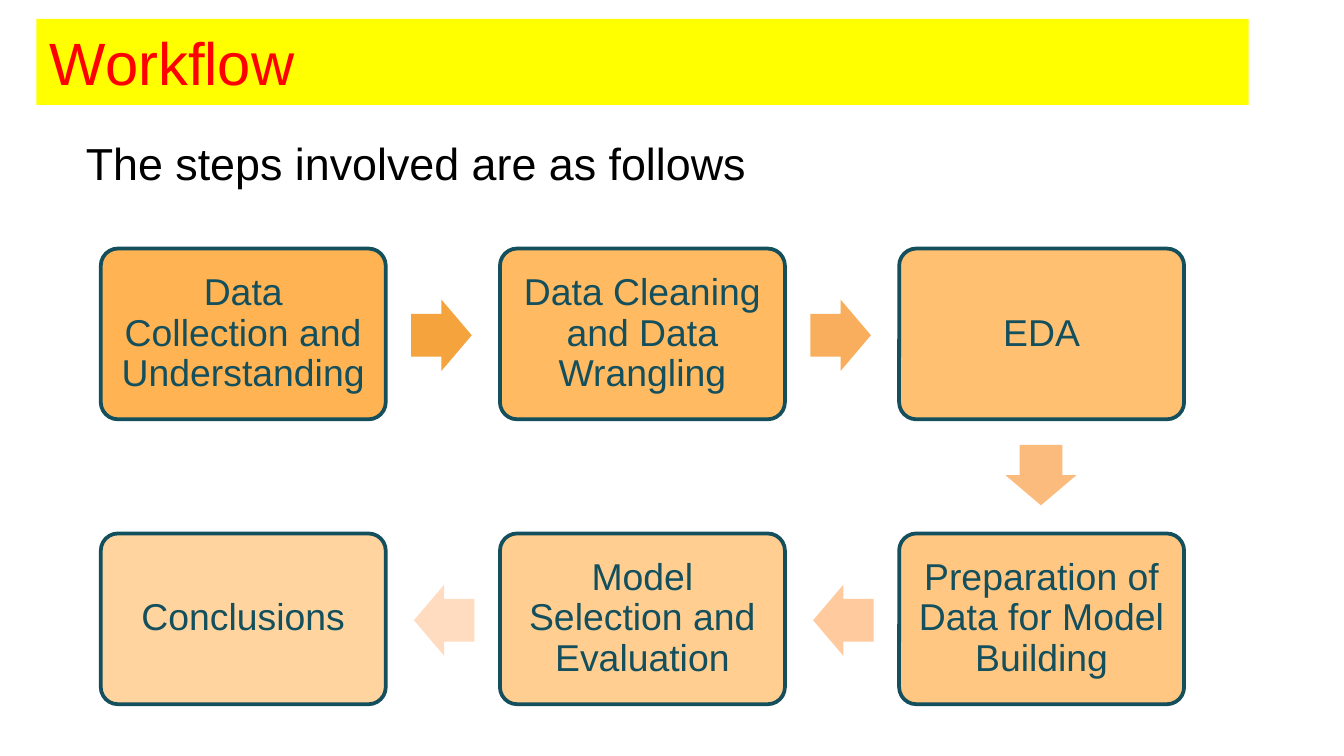
from typing import NamedTuple

from lxml.etree import SubElement
from pptx import Presentation
from pptx.dml.color import RGBColor
from pptx.enum.shapes import MSO_SHAPE as Shape
from pptx.enum.text import MSO_ANCHOR as Anchor, PP_ALIGN as Align
from pptx.oxml.ns import qn
from pptx.util import Inches, Pt

COLORS = {"band": "FFFF00", "title": "FF0000", "text": "000000",
          "box": "FFAB40", "ink": "134F5C"}
FONT = "Arial"
LEFT, TOP = 0.75, 1.85
STEP_X, STEP_Y = 2.97, 2.12
BOX_W, BOX_H = 2.12, 1.27
ARROW_W, ARROW_H = 0.45, 0.53


class Step(NamedTuple):
    text: str
    col: int
    row: int
    alpha: int  # percent


class Arrow(NamedTuple):
    x: float
    y: float
    turn: int
    color: str


STEPS = [
    Step("Data Collection and Understanding", 0, 0, 90),
    Step("Data Cleaning and Data Wrangling", 1, 0, 82),
    Step("EDA", 2, 0, 74),
    Step("Preparation of Data for Model Building", 2, 1, 66),
    Step("Model Selection and Evaluation", 1, 1, 58),
    Step("Conclusions", 0, 1, 50),
]
ARROWS = [
    Arrow(3.06, 2.23, 0, "F4A33D"),
    Arrow(6.03, 2.23, 0, "F8AE5C"),
    Arrow(7.52, 3.27, 90, "FBBB7D"),
    Arrow(6.05, 4.35, 180, "FECA9E"),
    Arrow(3.08, 4.35, 180, "FFDBC0"),
]


def paint(shape, color: str) -> None:
    shape.fill.solid()
    shape.fill.fore_color.rgb = RGBColor.from_string(color)


def place(shape, x: float, y: float, w: float, h: float) -> None:
    shape.left, shape.top = Inches(x), Inches(y)
    shape.width, shape.height = Inches(w), Inches(h)


def write(shape, text: str, size: int, color: str,
          align=Align.LEFT, anchor=Anchor.TOP):
    frame = shape.text_frame
    frame.word_wrap = True
    frame.vertical_anchor = anchor
    para = frame.paragraphs[0]
    para.text = text
    para.alignment = align
    para.font.name = FONT
    para.font.size = Pt(size)
    para.font.color.rgb = RGBColor.from_string(color)
    return para


def draw_step(shapes, step: Step) -> None:
    box = shapes.add_shape(
        Shape.ROUNDED_RECTANGLE,
        Inches(LEFT + step.col * STEP_X), Inches(TOP + step.row * STEP_Y),
        Inches(BOX_W), Inches(BOX_H))
    box.adjustments[0] = 0.1
    box.shadow.inherit = False
    paint(box, COLORS["box"])
    tone = box.fill._xPr.find(qn("a:solidFill"))[0]
    SubElement(tone, qn("a:alpha"), val=str(step.alpha * 1000))
    box.line.color.rgb = RGBColor.from_string(COLORS["ink"])
    box.line.width = Pt(2)
    frame = box.text_frame
    frame.margin_left = frame.margin_right = Inches(0.08)
    frame.margin_top = frame.margin_bottom = Inches(0.08)
    para = write(box, step.text, 20, COLORS["ink"], Align.CENTER, Anchor.MIDDLE)
    para.line_spacing = 0.9


def draw_arrow(shapes, arrow: Arrow) -> None:
    shape = shapes.add_shape(Shape.RIGHT_ARROW, Inches(arrow.x), Inches(arrow.y),
                             Inches(ARROW_W), Inches(ARROW_H))
    shape.adjustments[0] = 0.6
    shape.adjustments[1] = 0.5
    shape.rotation = arrow.turn
    shape.shadow.inherit = False
    paint(shape, arrow.color)
    shape.line.fill.background()


def main() -> None:
    deck = Presentation()
    deck.slide_width, deck.slide_height = Inches(10), Inches(10 * 9 / 16)
    shapes = deck.slides.add_slide(deck.slide_layouts[5]).shapes

    title = shapes.title
    place(title, 0.27, 0.14, 9.02, 0.64)
    paint(title, COLORS["band"])
    write(title, "Workflow", 32, COLORS["title"])

    for step in STEPS:
        draw_step(shapes, step)
    for arrow in ARROWS:
        draw_arrow(shapes, arrow)

    intro = shapes.add_textbox(Inches(0.54), Inches(0.96), Inches(8.63), Inches(0.5))
    write(intro, "The steps involved are as follows", 24, COLORS["text"])
    deck.save("out.pptx")


if __name__ == "__main__":
    main()
